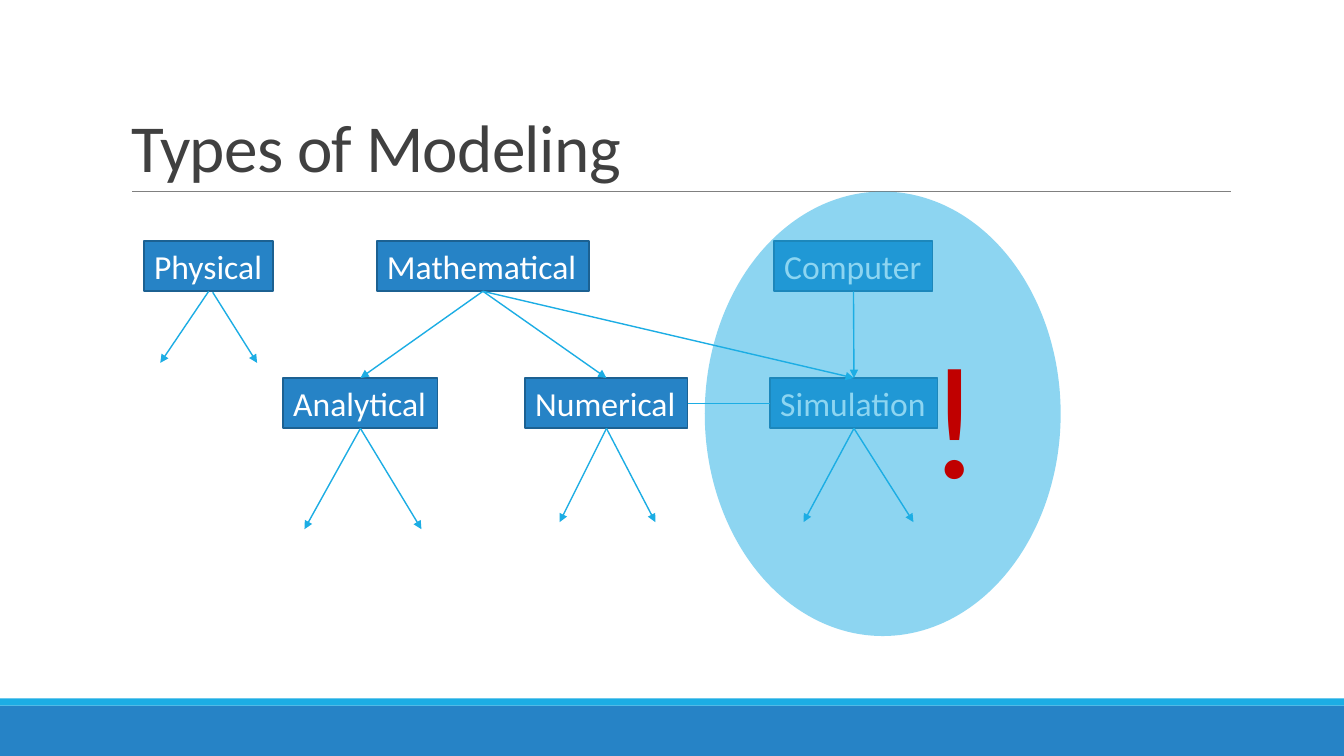
from lxml.etree import SubElement
from pptx import Presentation
from pptx.dml.color import RGBColor
from pptx.enum.shapes import MSO_CONNECTOR, MSO_SHAPE
from pptx.enum.text import MSO_ANCHOR, MSO_AUTO_SIZE, PP_ALIGN
from pptx.oxml.ns import qn
from pptx.util import Inches, Pt

COLORS = {
    "blue": "2683C6", "edge": "1C6192", "cyan": "1CADE4", "rule": "808080",
    "title": "404040", "white": "FFFFFF", "alert": "C00000",
}
BOTTOM, LEFT, TOP, RIGHT = 2, 1, 0, 3


class Deck:
    """Holds the presentation, its style and the current slide."""

    def __init__(self):
        self.prs = Presentation()
        self.prs.slide_width, self.prs.slide_height = Inches(13.33), Inches(7.5)
        self.s = self.prs.slides.add_slide(self.prs.slide_layouts[5])

    def color(self, name):
        return RGBColor.from_string(COLORS[name])

    def text(self, sp, text, size, color, align=PP_ALIGN.LEFT, **frame):
        tf = sp.text_frame
        for name, value in frame.items():
            setattr(tf, name, value)
        p = tf.paragraphs[0]
        p.alignment = align
        r = p.add_run()
        r.text = text
        style = {"name": "Calibri", "size": Pt(size)}
        for name, value in style.items():
            setattr(r.font, name, value)
        r.font.color.rgb = self.color(color)
        return p, r

    def title(self, text, x, y, w, h):
        sp = self.s.shapes.title
        place = {"left": x, "top": y, "width": w, "height": h}
        for name, value in place.items():
            setattr(sp, name, Inches(value))
        p, r = self.text(sp, text, 48, "title", word_wrap=True,
                         auto_size=MSO_AUTO_SIZE.NONE,
                         vertical_anchor=MSO_ANCHOR.BOTTOM)
        p.line_spacing = 0.85
        r.font._element.set("spc", "-50")

    def shape(self, kind, x, y, w, h, fill, line=None, alpha=None):
        sp = self.s.shapes.add_shape(kind, *map(Inches, (x, y, w, h)))
        sp.shadow.inherit = False
        sp.fill.solid()
        sp.fill.fore_color.rgb = self.color(fill)
        if alpha:
            clr = sp._element.spPr.find(qn("a:solidFill"))[0]
            SubElement(clr, qn("a:alpha")).set("val", str(alpha * 1000))
        if line:
            sp.line.color.rgb = self.color(line)
            sp.line.width = Pt(1.25)
        else:
            sp.line.fill.background()
        return sp

    def box(self, text, x, y, w):
        sp = self.shape(MSO_SHAPE.RECTANGLE, x, y, w, 0.5, "blue", "edge")
        self.text(sp, text, 24, "white", word_wrap=False,
                  auto_size=MSO_AUTO_SIZE.SHAPE_TO_FIT_TEXT,
                  vertical_anchor=MSO_ANCHOR.TOP)
        return sp

    def line(self, start=(0, 0), end=(0, 0), begin_at=None, end_at=None,
             color="cyan", width=1, arrow=True):
        c = self.s.shapes.add_connector(
            MSO_CONNECTOR.STRAIGHT, *map(Inches, (*start, *end)))
        if begin_at:
            c.begin_connect(*begin_at)
        if end_at:
            c.end_connect(*end_at)
        c.line.color.rgb = self.color(color)
        c.line.width = Pt(width)
        if arrow:
            SubElement(c.line._get_or_add_ln(), qn("a:tailEnd")).set("type", "triangle")
        SubElement(c._element.spPr, qn("a:effectLst"))


def main():
    d = Deck()
    d.shape(MSO_SHAPE.RECTANGLE, 0, 7, 13.33, 0.5, "blue")
    d.shape(MSO_SHAPE.RECTANGLE, 0, 6.93, 13.33, 0.07, "cyan")
    d.line((1.31, 1.9), (12.21, 1.9), color="rule", width=0.5, arrow=False)
    d.title("Types of Modeling", 1.2, 0.31, 11, 1.59)

    rows = {
        2.39: [("Physical", 1.43, 1.28), ("Mathematical", 3.74, 2.1),
               ("Computer", 7.68, 1.57)],
        3.75: [("Analytical", 2.81, 1.53), ("Numerical", 5.21, 1.61),
               ("Simulation", 7.64, 1.66)],
    }
    boxes = {name: d.box(name, x, y, w)
             for y, row in rows.items() for name, x, w in row}

    links = [("Mathematical", "Analytical"), ("Mathematical", "Numerical"),
             ("Mathematical", "Simulation"), ("Computer", "Simulation")]
    for parent, child in links:
        d.line(begin_at=(boxes[parent], BOTTOM), end_at=(boxes[child], TOP))
    d.line(begin_at=(boxes["Numerical"], RIGHT),
           end_at=(boxes["Simulation"], LEFT), arrow=False)

    branches = [("Physical", 3.6, [1.59]), ("Analytical", 5.25, [3.02, 4.18]),
                ("Numerical", 5.18, [5.55, 6.5]), ("Simulation", 5.18, [7.97, 9.06])]
    for name, y, ends in branches:
        for x in ends:
            d.line(end=(x, y), begin_at=(boxes[name], BOTTOM))
    d.line((2.11, 2.9), (2.55, 3.6))

    focus = d.shape(MSO_SHAPE.OVAL, 6.99, 1.9, 3.53, 4.41, "cyan", alpha=50)
    d.text(focus, "!", 115, "alert", PP_ALIGN.CENTER, word_wrap=True,
           margin_left=Inches(1.53), vertical_anchor=MSO_ANCHOR.MIDDLE)
    d.prs.save("out.pptx")


if __name__ == "__main__":
    main()
